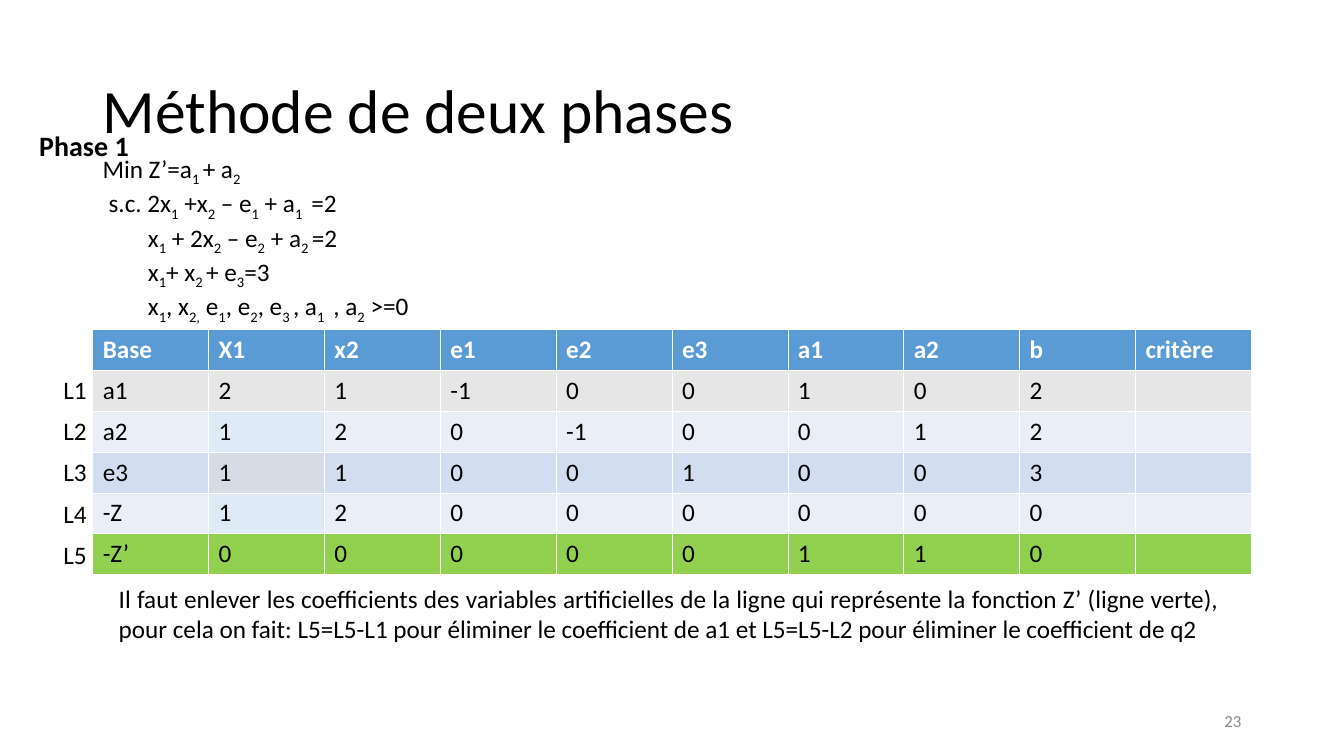
from lxml import etree
from pptx import Presentation
from pptx.dml.color import RGBColor
from pptx.enum.text import MSO_ANCHOR, PP_ALIGN
from pptx.oxml.ns import qn
from pptx.util import Pt

LEFT, RIGHT, JUSTIFY = PP_ALIGN.LEFT, PP_ALIGN.RIGHT, PP_ALIGN.JUSTIFY
TOP, MIDDLE = MSO_ANCHOR.TOP, MSO_ANCHOR.MIDDLE

EMU_PER_PX = 9144
FONT = "Calibri"
COLORS = {
    "text": "000000",
    "white": "FFFFFF",
    "page_number": "898989",
    "header": "5B9BD5",
    "grey": "E7E6E6",
    "light": "EAEFF7",
    "light_x1": "DEEBF7",
    "blue": "D2DEEF",
    "blue_x1": "D6DCE5",
    "green": "92D050",
}

PROGRAM = [
    ("Min Z’=a_1 _+ a_2_", 0),
    ("s.c. 2x_1_ +x_2_ – e_1_ + a_1 _ =2", 6),
    ("x_1_ + 2x_2_ – e_2_ + a_2 _=2", 45),
    ("x_1_+ x_2 _+ e_3_=3", 45),
    ("x_1_, x_2,_ e_1_, e_2_, e_3 _, a_1 _ , a_2_ >=0", 45),
]
SIMPLEX_ROWS = [
    ("header", "header", ["Base", "X1", "x2", "e1", "e2", "e3", "a1", "a2", "b", "critère"]),
    ("grey", "grey", ["a1", "2", "1", "-1", "0", "0", "1", "0", "2", ""]),
    ("light", "light_x1", ["a2", "1", "2", "0", "-1", "0", "0", "1", "2", ""]),
    ("blue", "blue_x1", ["e3", "1", "1", "0", "0", "1", "0", "0", "3", ""]),
    ("light", "light_x1", ["-Z", "1", "2", "0", "0", "0", "0", "0", "0", ""]),
    ("green", "green", ["-Z’", "0", "0", "0", "0", "0", "1", "1", "0", ""]),
]
EXPLANATION = (
    "Il faut enlever les coefficients des variables artificielles de la ligne qui "
    "représente la fonction Z’ (ligne verte), pour cela on fait: L5=L5-L1 pour éliminer "
    "le coefficient de a1 et L5=L5-L2 pour éliminer le coefficient de q2"
)


def px(length):
    return length * EMU_PER_PX


def write(paragraph, text, size=18, color="text", bold=False, align=LEFT, indent=0, spacing=None):
    paragraph.alignment = align
    if spacing:
        paragraph.line_spacing = spacing
    if indent:
        paragraph._p.get_or_add_pPr().set("marL", str(px(indent)))
    for position, part in enumerate(text.split("_")):
        if not part:
            continue
        run = paragraph.add_run()
        run.text = part
        run.font.name = FONT
        run.font.size = Pt(size)
        run.font.bold = bold
        run.font.color.rgb = RGBColor.from_string(COLORS[color])
        if position % 2:
            run.font._element.set("baseline", "-25000")


def add_frame(slide, left, top, width, height, anchor=TOP, wrap=True):
    frame = slide.shapes.add_textbox(px(left), px(top), px(width), px(height)).text_frame
    frame.word_wrap = wrap
    frame.vertical_anchor = anchor
    return frame


def add_label(slide, text, left, top, width, height, anchor=TOP, wrap=True, **text_format):
    frame = add_frame(slide, left, top, width, height, anchor, wrap)
    write(frame.paragraphs[0], text, **text_format)


def add_program(slide):
    frame = add_frame(slide, 92, 147, 667, 181)
    for index, (line, indent) in enumerate(PROGRAM):
        paragraph = frame.add_paragraph() if index else frame.paragraphs[0]
        write(paragraph, line, indent=indent, align=JUSTIFY)


def set_borders(cell, **widths):
    properties = cell._tc.get_or_add_tcPr()
    for side in ("L", "R", "T", "B"):
        width = Pt(widths.get(side, 0.45))
        border = etree.SubElement(properties, qn(f"a:ln{side}"), w=str(width))
        fill = etree.SubElement(border, qn("a:solidFill"))
        etree.SubElement(fill, qn("a:srgbClr"), val=COLORS["white"])


def add_simplex_table(slide):
    table = slide.shapes.add_table(
        len(SIMPLEX_ROWS), len(SIMPLEX_ROWS[0][2]), px(92), px(327), px(1150), px(243)
    ).table
    for row, (row_fill, x1_fill, values) in enumerate(SIMPLEX_ROWS):
        is_header = row == 0
        rule_widths = {0: {"B": 1.47}, 1: {"T": 1.47}}.get(row, {})
        for column, value in enumerate(values):
            cell = table.cell(row, column)
            set_borders(cell, **rule_widths)
            cell.fill.solid()
            fill_name = x1_fill if column == 1 else row_fill
            cell.fill.fore_color.rgb = RGBColor.from_string(COLORS[fill_name])
            write(cell.text_frame.paragraphs[0], value, bold=is_header,
                  color="white" if is_header else "text")


def main():
    presentation = Presentation()
    presentation.slide_width = px(1334)
    presentation.slide_height = px(750)
    slide = presentation.slides.add_slide(presentation.slide_layouts[6])

    add_label(slide, "Méthode de deux phases", 92, 40, 1150, 145,
              anchor=MIDDLE, size=44, spacing=0.9)
    add_program(slide)
    add_simplex_table(slide)
    add_label(slide, EXPLANATION, 108, 574, 1112, 70, align=JUSTIFY)
    for index in range(len(SIMPLEX_ROWS) - 1):
        add_label(slide, f"L{index + 1}", 53, 366 + 41 * index, 43, 40, wrap=False)
    add_label(slide, "Phase 1", 29, 123, 119, 44, size=20, bold=True)
    add_label(slide, "23", 942, 695, 300, 40, anchor=MIDDLE,
              size=12, color="page_number", align=RIGHT)

    presentation.save("out.pptx")


if __name__ == "__main__":
    main()
